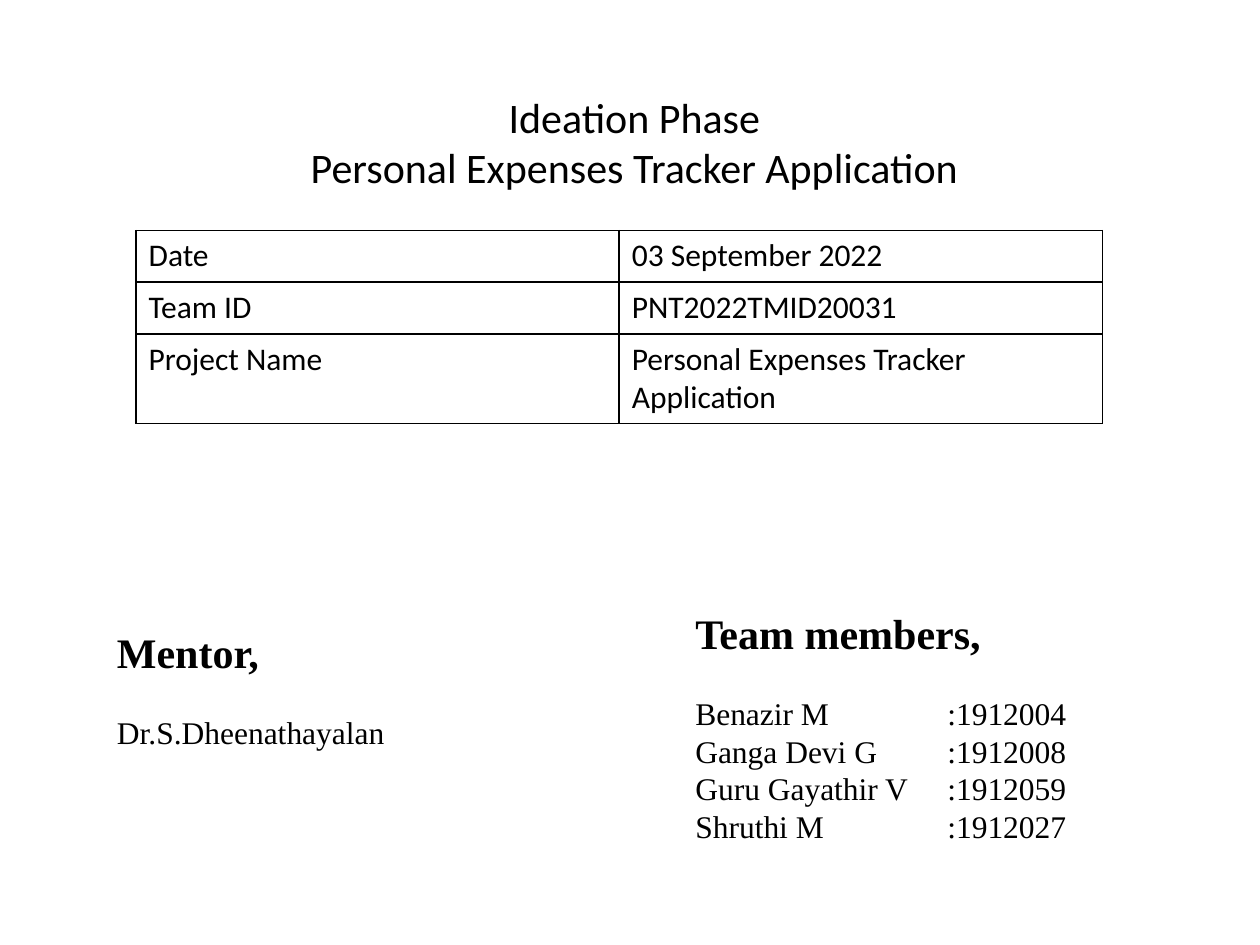
from dataclasses import dataclass

from pptx import Presentation
from pptx import util as u
from pptx.dml.color import RGBColor
from pptx.enum import text
from pptx.oxml import parse_xml
from pptx.oxml.ns import nsdecls


@dataclass
class Theme:
    ink: str = "000000"
    sans: str = "Calibri"
    serif: str = "Times New Roman"
    heading: int = 24
    body: int = 18
    border: float = 1


class Deck:
    def __init__(self, prs, theme):
        self.theme = theme
        self.s = prs.slides.add_slide(prs.slide_layouts[5])

    def style(self, p, font, size, bold=False):
        for r in p.runs:
            r.font.name, r.font.size, r.font.bold = font, u.Pt(size), bold
            r.font.color.rgb = RGBColor.from_string(self.theme.ink)

    def title(self, words, *box):
        sp = self.s.shapes.title
        sp.left, sp.top, sp.width, sp.height = map(u.Inches, box)
        tf = sp.text_frame
        tf.auto_size = text.MSO_AUTO_SIZE.NONE
        tf.vertical_anchor = text.MSO_ANCHOR.MIDDLE
        tf.text = words
        p = tf.paragraphs[0]
        p.alignment = text.PP_ALIGN.CENTER
        self.style(p, self.theme.sans, self.theme.heading)

    def people(self, heading, names, *box, tab=2):
        tf = self.s.shapes.add_textbox(*map(u.Inches, box)).text_frame
        tf.word_wrap = True
        tf.text = "\n".join([heading, *names])
        first, *rest = tf.paragraphs
        self.style(first, self.theme.serif, self.theme.heading, bold=True)
        first.space_after = u.Pt(20.7)
        for p in rest:
            self.style(p, self.theme.serif, self.theme.body)
            p._p.get_or_add_pPr().append(parse_xml(
                f'<a:tabLst {nsdecls("a")}>'
                f'<a:tab pos="{u.Inches(tab)}" algn="l"/></a:tabLst>'))

    def borders(self, cell):
        tcPr = cell._tc.get_or_add_tcPr()
        for i, side in enumerate("LRTB"):
            tcPr.insert(i, parse_xml(
                f'<a:ln{side} {nsdecls("a")} w="{u.Pt(self.theme.border)}">'
                f'<a:solidFill><a:srgbClr val="{self.theme.ink}"/></a:solidFill>'
                f'</a:ln{side}>'))

    def table(self, rows, heights, *box):
        tbl = self.s.shapes.add_table(
            len(rows), len(rows[0]), *map(u.Inches, box)).table
        tbl.first_row = tbl.horz_banding = False
        for row, height, words in zip(tbl.rows, heights, rows):
            row.height = u.Inches(height)
            for cell, word in zip(row.cells, words):
                cell.text = word
                cell.fill.background()
                self.borders(cell)
                self.style(cell.text_frame.paragraphs[0],
                           self.theme.sans, self.theme.body)


prs = Presentation()
prs.slide_width, prs.slide_height = u.Inches(10), u.Inches(7.5)
deck = Deck(prs, Theme())

# Title
deck.title("Ideation Phase\vPersonal Expenses Tracker Application",
           0.33, 0.5, 9.41, 1.25)

# Project details
deck.table([("Date", "03 September 2022"),
            ("Team ID", "PNT2022TMID20031"),
            ("Project Name", "Personal Expenses Tracker Application")],
           (0.41, 0.41, 0.7), 1.08, 1.83, 7.67, 1.52)

# Mentor and team
deck.people("Mentor,", ["Dr.S.Dheenathayalan"], 0.83, 4.92, 2.75, 1.11)
members = {"Benazir M": 1912004, "Ganga Devi G": 1912008,
           "Guru Gayathir V": 1912059, "Shruthi M": 1912027}
deck.people("Team members,",
            [f"{name}\t:{number}" for name, number in members.items()],
            5.42, 4.77, 4.58, 2.02)

prs.save("out.pptx")
